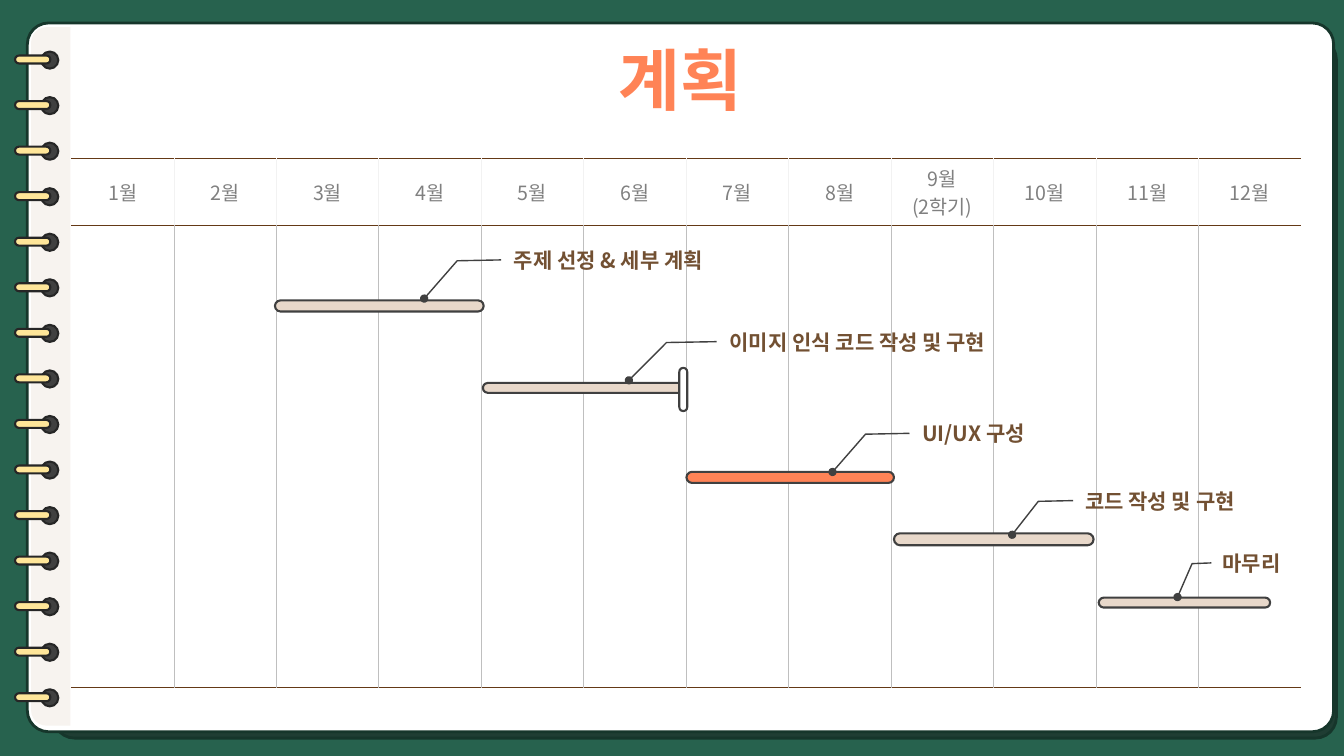
from dataclasses import dataclass

from lxml.etree import SubElement
from pptx import Presentation
from pptx.dml.color import RGBColor
from pptx.enum.shapes import MSO_SHAPE
from pptx.enum.text import MSO_ANCHOR, MSO_AUTO_SIZE, PP_ALIGN
from pptx.oxml.ns import qn
from pptx.util import Cm, Pt


@dataclass(frozen=True)
class Theme:
    font: str = "Noto Sans CJK KR"
    board: str = "27624E"
    shade: str = "1F3D33"
    edge: str = "16362B"
    page: str = "FFFFFF"
    strip: str = "F7F3EF"
    hole: str = "404040"
    ring: str = "FFE699"
    ink: str = "262626"
    line: str = "404040"
    accent: str = "FF8356"
    bar: str = "E8D8CA"
    label: str = "725032"
    month: str = "808080"
    rule: str = "643916"
    head_grid: str = "F2F2F2"
    body_grid: str = "BFBFBF"
    title_size: int = 48
    label_size: int = 15
    month_size: int = 14


@dataclass(frozen=True)
class Box:
    """A rectangle in centimetres."""
    x: float
    y: float
    w: float
    h: float

    def inner(self, x, y, w, h):
        return Box(self.x + x, self.y + y, w, h)

    def lengths(self):
        return Cm(self.x), Cm(self.y), Cm(self.w), Cm(self.h)


THEME = Theme()
PAGE = Box(0.69, 0.58, 32.92, 17.86)
PLAN = Box(1.8, 3.99, 30.99, 13.1)
MONTHS = [f"{n}월" for n in range(1, 13)]
MONTHS[8] += "\n(2학기)"

# Bar and callout boxes are offsets from the corner of the plan.
TASKS = [
    ("주제 선정 & 세부 계획", THEME.bar, (5.13, 3.58, 5.26, 0.28), (10.9, 2, 6.93, 1.12)),
    ("이미지 인식 코드 작성 및 구현", THEME.bar, (10.37, 5.66, 5.05, 0.25), (16.34, 4.06, 7.9, 1.12)),
    ("UI/UX 구성", THEME.accent, (15.5, 7.9, 5.23, 0.28), (21.19, 6.37, 6.93, 1.12)),
    ("코드 작성 및 구현", THEME.bar, (20.73, 9.45, 5.03, 0.3), (25.3, 8.13, 5.49, 0.99)),
    ("마무리", THEME.bar, (25.89, 11.07, 4.32, 0.25), (28.76, 9.7, 3.05, 0.99)),
]
MARK = (15.32, 5.28, 0.2, 1.09)
LEADER = (0.5, -0.01, 0.52, -0.17, 1.37, -0.29)


def rgb(code):
    return RGBColor.from_string(code)


def draw(slide, kind, box, fill=None, line=None, width=1.5, adjust=()):
    shape = slide.shapes.add_shape(kind, *box.lengths())
    shape.shadow.inherit = False
    if fill:
        shape.fill.solid()
        shape.fill.fore_color.rgb = rgb(fill)
    else:
        shape.fill.background()
    if line:
        shape.line.color.rgb = rgb(line)
        shape.line.width = Pt(width)
    else:
        shape.line.fill.background()
    for i, value in enumerate(adjust):
        shape.adjustments[i] = value
    return shape


def write(frame, text, size, color, align, bold=False):
    frame.text = text
    for para in frame.paragraphs:
        para.alignment = align
        font = para.font
        font.size, font.bold, font.name = Pt(size), bold, THEME.font
        font.color.rgb = rgb(color)
        SubElement(font._rPr, qn("a:ea"), typeface=THEME.font)


def add_page(slide, box):
    """Draw the notebook sheet and its spiral binding."""
    draw(slide, MSO_SHAPE.ROUNDED_RECTANGLE, box.inner(0.66, 0.39, 32.33, 17.63),
         THEME.shade, THEME.edge, 2, [0.03])
    draw(slide, MSO_SHAPE.ROUNDED_RECTANGLE, box, THEME.page, THEME.edge, 2, [0.03])
    strip = draw(slide, MSO_SHAPE.ROUND_2_SAME_RECTANGLE,
                 box.inner(-8.21, 8.41, 17.6, 0.99), THEME.strip, adjust=[0.39, 0])
    strip.rotation = 270
    count, first, last = 15, 0.72, 16.79
    for i in range(count):
        y = first + i * (last - first) / (count - 1)
        draw(slide, MSO_SHAPE.OVAL, box.inner(0.35, y, 0.43, 0.43), THEME.hole, THEME.ink)
        draw(slide, MSO_SHAPE.ROUNDED_RECTANGLE, box.inner(-0.31, y + 0.1, 0.89, 0.2),
             THEME.ring, THEME.ink, adjust=[0.5])


def add_title(slide, box, text):
    title = slide.shapes.title
    title.left, title.top, title.width, title.height = box.lengths()
    frame = title.text_frame
    frame.auto_size = MSO_AUTO_SIZE.NONE
    frame.vertical_anchor = MSO_ANCHOR.MIDDLE
    write(frame, text, THEME.title_size, THEME.accent, PP_ALIGN.CENTER, True)
    slide.shapes.element.append(title.element)


def edge(cell, side, color, width):
    """Give one side of a cell a line, or none without a colour."""
    props = cell._tc.get_or_add_tcPr()
    line = SubElement(props, qn(f"a:ln{side}"), w=str(Pt(width)))
    if color:
        fill = SubElement(line, qn("a:solidFill"))
        SubElement(fill, qn("a:srgbClr"), val=color)
    else:
        SubElement(line, qn("a:noFill"))


def add_grid(slide, box):
    count = len(MONTHS)
    table = slide.shapes.add_table(2, count, *box.lengths()).table
    table.first_row = table.horz_banding = False
    head = 1.47
    table.rows[0].height, table.rows[1].height = Cm(head), Cm(box.h - head)
    for col, month in enumerate(MONTHS):
        table.columns[col].width = Cm(box.w / count)
        for row, grid in enumerate((THEME.head_grid, THEME.body_grid)):
            cell = table.cell(row, col)
            edge(cell, "L", grid if col else None, 0.5)
            edge(cell, "R", grid if col < count - 1 else None, 0.5)
            edge(cell, "T", THEME.rule, 1)
            edge(cell, "B", THEME.rule, 1)
            cell.fill.background()
        name = table.cell(0, col)
        name.vertical_anchor = MSO_ANCHOR.MIDDLE
        write(name.text_frame, month, THEME.month_size, THEME.month, PP_ALIGN.CENTER)


def add_label(slide, box, text):
    """Add a callout whose leader ends in a dot."""
    label = draw(slide, MSO_SHAPE.LINE_CALLOUT_2_NO_BORDER, box,
                 line=THEME.line, width=1, adjust=LEADER)
    SubElement(label.element.spPr.find(qn("a:ln")), qn("a:tailEnd"), type="oval")
    frame = label.text_frame
    frame.word_wrap = True
    frame.vertical_anchor = MSO_ANCHOR.MIDDLE
    write(frame, text, THEME.label_size, THEME.label, PP_ALIGN.LEFT, True)


def add_tasks(slide, box):
    for text, color, bar, label in TASKS:
        draw(slide, MSO_SHAPE.ROUNDED_RECTANGLE, box.inner(*bar), color, THEME.line, adjust=[0.5])
        add_label(slide, box.inner(*label), text)
    draw(slide, MSO_SHAPE.ROUNDED_RECTANGLE, box.inner(*MARK), THEME.page, THEME.line, adjust=[0.5])


def main():
    deck = Presentation()
    deck.slide_width, deck.slide_height = Cm(33.87), Cm(19.05)
    slide = deck.slides.add_slide(deck.slide_layouts[5])
    slide.background.fill.solid()
    slide.background.fill.fore_color.rgb = rgb(THEME.board)
    add_page(slide, PAGE)
    add_title(slide, PAGE.inner(0, 0, PAGE.w, 2.8), "계획")
    add_grid(slide, PLAN)
    add_tasks(slide, PLAN)
    deck.save("out.pptx")


if __name__ == "__main__":
    main()
